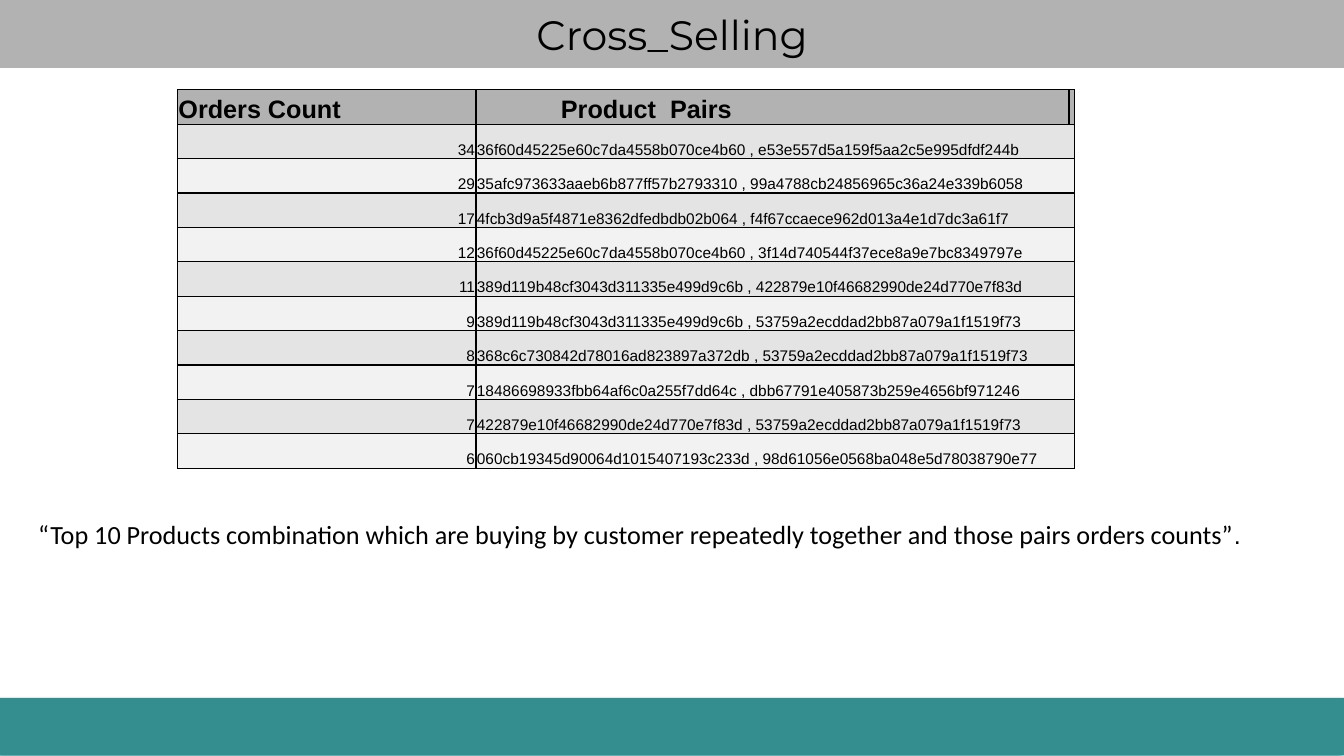
"""Build the Cross_Selling slide with its table of product pairs."""
from dataclasses import dataclass

from lxml import etree
from pptx import Presentation
from pptx.dml.color import RGBColor as RGB
from pptx.enum.shapes import MSO_SHAPE as SHAPE
from pptx.enum.text import MSO_ANCHOR as ANCHOR, MSO_AUTO_SIZE as AUTO, PP_ALIGN as ALIGN
from pptx.oxml import parse_xml
from pptx.oxml.ns import qn
from pptx.util import Pt


@dataclass(frozen=True)
class Theme:
    black: str = "000000"
    band: str = "B2B2B2"
    teal: str = "348E90"
    rows: tuple = ("E4E4E4", "F2F2F2")
    title_font: str = "Montserrat"
    table_font: str = "Arial"
    text_font: str = "Calibri"
    title_size: float = 29.3
    head_size: float = 18
    cell_size: float = 11
    caption_size: float = 18.7


THEME = Theme()
PAIRS = [
    (34, "36f60d45225e60c7da4558b070ce4b60 , e53e557d5a159f5aa2c5e995dfdf244b"),
    (29, "35afc973633aaeb6b877ff57b2793310 , 99a4788cb24856965c36a24e339b6058"),
    (17, "4fcb3d9a5f4871e8362dfedbdb02b064 , f4f67ccaece962d013a4e1d7dc3a61f7"),
    (12, "36f60d45225e60c7da4558b070ce4b60 , 3f14d740544f37ece8a9e7bc8349797e"),
    (11, "389d119b48cf3043d311335e499d9c6b , 422879e10f46682990de24d770e7f83d"),
    (9, "389d119b48cf3043d311335e499d9c6b , 53759a2ecddad2bb87a079a1f1519f73"),
    (8, "368c6c730842d78016ad823897a372db , 53759a2ecddad2bb87a079a1f1519f73"),
    (7, "18486698933fbb64af6c0a255f7dd64c , dbb67791e405873b259e4656bf971246"),
    (7, "422879e10f46682990de24d770e7f83d , 53759a2ecddad2bb87a079a1f1519f73"),
    (6, "060cb19345d90064d1015407193c233d , 98d61056e0568ba048e5d78038790e77"),
]
NS = 'xmlns:a="http://schemas.openxmlformats.org/drawingml/2006/main"'


def set_font(font, name, size, bold=False):
    font.name, font.size, font.bold = name, Pt(size), bold
    font.color.rgb = RGB.from_string(THEME.black)


def set_fill(item, color):
    item.fill.solid()
    item.fill.fore_color.rgb = RGB.from_string(color)


def place(shape, left, top, width, height):
    shape.left, shape.top = Pt(left), Pt(top)
    shape.width, shape.height = Pt(width), Pt(height)


def add_title(s, text):
    title = s.shapes.title
    place(title, 0, 0, 960, 48.5)
    set_fill(title, THEME.band)
    tf = title.text_frame
    tf.auto_size, tf.vertical_anchor = AUTO.NONE, ANCHOR.MIDDLE
    tf.text = text
    p = tf.paragraphs[0]
    p.alignment = ALIGN.CENTER
    set_font(p.font, THEME.title_font, THEME.title_size)


def add_footer_band(s):
    band = s.shapes.add_shape(SHAPE.RECTANGLE, 0, Pt(498.5), Pt(960), Pt(41))
    set_fill(band, THEME.teal)
    band.line.fill.background()
    band.shadow.inherit = False
    effects = band._element.spPr.find(qn("a:effectLst"))
    effects.append(parse_xml(
        f'<a:outerShdw {NS} blurRad="{Pt(4)}" dist="{Pt(3)}" dir="8100000">'
        f'<a:srgbClr val="{THEME.black}"><a:alpha val="40000"/></a:srgbClr></a:outerShdw>'))


def add_borders(cell):
    tcPr = cell._tc.get_or_add_tcPr()
    for i, side in enumerate(("lnL", "lnR", "lnT", "lnB")):
        ln = etree.Element(qn(f"a:{side}"), w=str(Pt(1)))
        fill = etree.SubElement(ln, qn("a:solidFill"))
        etree.SubElement(fill, qn("a:srgbClr"), val=THEME.black)
        tcPr.insert(i, ln)


def fill_cell(cell, text, color, size, bold=False, align=ALIGN.LEFT, indent=0.7):
    cell.margin_left, cell.margin_right = Pt(indent), Pt(0.7)
    cell.margin_top, cell.margin_bottom = Pt(0.7), 0
    cell.vertical_anchor = ANCHOR.BOTTOM
    cell.text = text
    p = cell.text_frame.paragraphs[0]
    p.alignment = align
    set_font(p.font, THEME.table_font, size, bold)
    set_fill(cell, color)
    add_borders(cell)


def add_pairs_table(s):
    widths, row_height, count = (213.2, 423.6, 3.2), 24.6, len(PAIRS) + 1
    frame = s.shapes.add_table(count, len(widths), Pt(126.8), Pt(64.1),
                               Pt(sum(widths)), Pt(row_height * count))
    table = frame.table
    table.first_row = table.horz_banding = False
    for column, width in zip(table.columns, widths):
        column.width = Pt(width)
    for row in table.rows:
        row.height = Pt(row_height)
    heads = [("Orders Count", 0.7), ("Product  Pairs", 60.7), ("", 0.7)]
    for c, (text, indent) in enumerate(heads):
        fill_cell(table.cell(0, c), text, THEME.band, THEME.head_size, True, indent=indent)
    for r, (orders, pair) in enumerate(PAIRS, 1):
        color = THEME.rows[(r - 1) % 2]
        table.cell(r, 1).merge(table.cell(r, 2))
        fill_cell(table.cell(r, 0), str(orders), color, THEME.cell_size, align=ALIGN.RIGHT)
        fill_cell(table.cell(r, 1), pair, color, THEME.cell_size)
        add_borders(table.cell(r, 2))


def add_caption(s, text, end):
    tf = s.shapes.add_textbox(Pt(20.2), Pt(366.5), Pt(896.4), Pt(30)).text_frame
    tf.word_wrap, tf.auto_size = True, AUTO.SHAPE_TO_FIT_TEXT
    p = tf.paragraphs[0]
    for part, name, size in ((text, THEME.text_font, THEME.caption_size),
                             (end, THEME.table_font, THEME.head_size)):
        r = p.add_run()
        r.text = part
        set_font(r.font, name, size)


def main():
    prs = Presentation()
    prs.slide_width, prs.slide_height = Pt(960), Pt(540)
    s = prs.slides.add_slide(prs.slide_layouts[5])
    add_footer_band(s)
    add_title(s, "Cross_Selling")
    add_pairs_table(s)
    add_caption(s, "“Top 10 Products combination which are buying by customer "
                   "repeatedly together and those pairs orders counts”", ".")
    prs.save("out.pptx")


if __name__ == "__main__":
    main()
